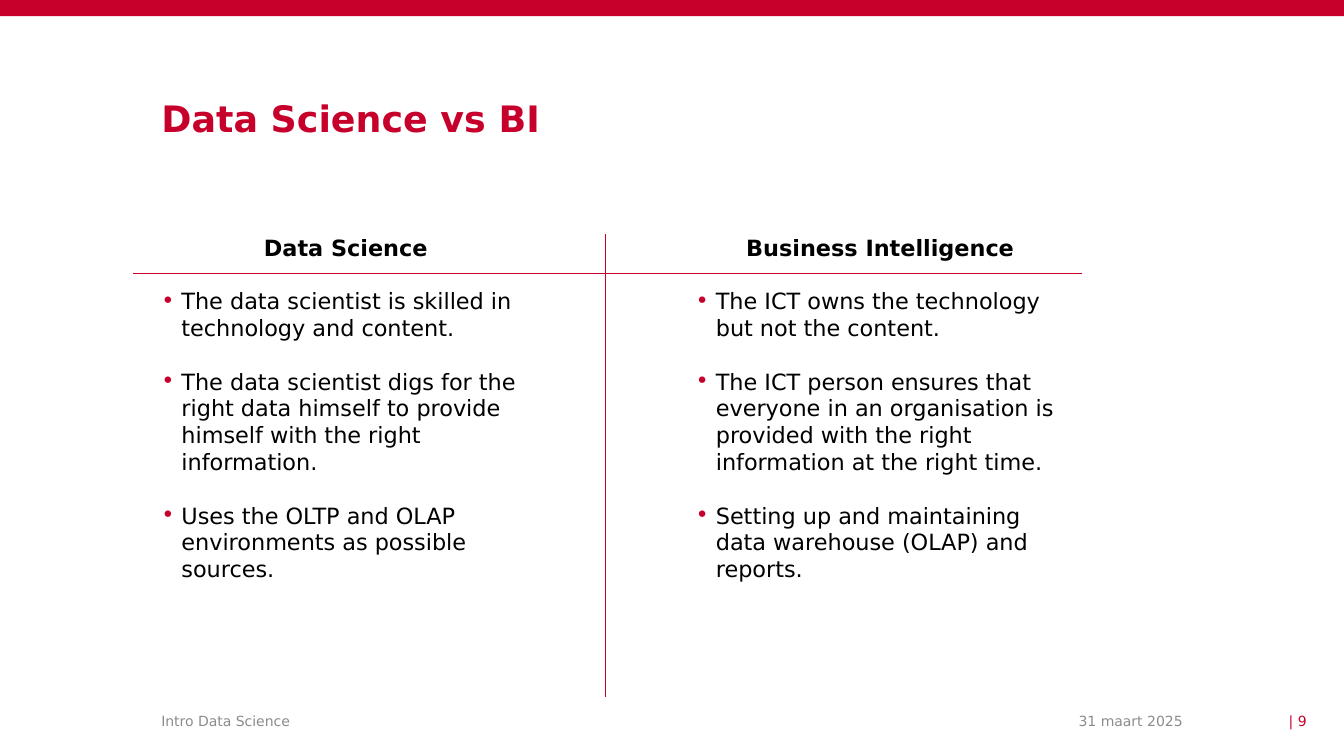
from dataclasses import dataclass

from lxml import etree
from pptx import Presentation
from pptx import util as u
from pptx.dml.color import RGBColor
from pptx.enum import shapes, text
from pptx.oxml import ns

ALIGN = text.PP_ALIGN
ANCHOR = text.MSO_ANCHOR


@dataclass(frozen=True)
class Theme:
    font: str = "DejaVu Sans"
    accent: str = "C7002B"
    ink: str = "000000"
    muted: str = "8C8C8C"
    title: float = 26
    body: float = 16
    footer: float = 10
    rule: float = 0.5
    gap: float = 19


THEME = Theme()

COLUMNS = [
    ("Data Science", [
        "The data scientist is skilled in technology and content.",
        "The data scientist digs for the right data himself to provide "
        "himself with the right information.",
        "Uses the OLTP and OLAP environments as possible sources.",
    ]),
    ("Business Intelligence", [
        "The ICT owns the technology but not the content.",
        "The ICT person ensures that everyone in an organisation is "
        "provided with the right information at the right time.",
        "Setting up and maintaining data warehouse (OLAP) and reports.",
    ]),
]


def place(shape, box):
    shape.left, shape.top, shape.width, shape.height = map(u.Inches, box)


def prepare_frame(shape, anchor=ANCHOR.TOP):
    frame = shape.text_frame
    frame.word_wrap = True
    frame.auto_size = text.MSO_AUTO_SIZE.NONE
    frame.vertical_anchor = anchor
    frame.margin_left = frame.margin_right = 0
    frame.margin_top = frame.margin_bottom = 0
    return frame


def write(para, words, size=THEME.body, color=THEME.ink, bold=False,
          align=ALIGN.LEFT, spacing=1.0, after=0, bullet=False):
    para.alignment = align
    para.line_spacing = spacing
    para.space_before = u.Pt(0)
    para.space_after = u.Pt(after)
    span = para.add_run()
    span.text = words
    font = span.font
    font.name, font.size, font.bold = THEME.font, u.Pt(size), bold
    font.color.rgb = RGBColor.from_string(color)
    set_bullet(para, bullet)


def set_bullet(para, bullet):
    props = para._p.get_or_add_pPr()
    indent = u.Inches(0.2) if bullet else 0
    props.set("marL", str(indent))
    props.set("indent", str(-indent))
    if not bullet:
        etree.SubElement(props, ns.qn("a:buNone"))
        return
    color = etree.SubElement(props, ns.qn("a:buClr"))
    etree.SubElement(color, ns.qn("a:srgbClr"), val=THEME.accent)
    etree.SubElement(props, ns.qn("a:buFont"), typeface=THEME.font)
    etree.SubElement(props, ns.qn("a:buChar"), char="•")


def add_rule(page, start, end):
    rule = page.shapes.add_connector(
        shapes.MSO_CONNECTOR.STRAIGHT, *map(u.Inches, start + end))
    rule.line.width = u.Pt(THEME.rule)
    rule.line.color.rgb = RGBColor.from_string(THEME.accent)
    etree.SubElement(rule._element.spPr, ns.qn("a:effectLst"))


def add_band(page, box):
    band = page.shapes.add_shape(
        shapes.MSO_SHAPE.RECTANGLE, *map(u.Inches, box))
    band.shadow.inherit = False
    band.fill.solid()
    band.fill.fore_color.rgb = RGBColor.from_string(THEME.accent)
    band.line.fill.background()


def fill_title(page, box):
    title = page.shapes.title
    place(title, box)
    write(prepare_frame(title).paragraphs[0], "Data Science vs BI",
          size=THEME.title, color=THEME.accent, bold=True, spacing=0.9)


def fill_column(holder, box, heading, points):
    place(holder, box)
    frame = prepare_frame(holder)
    write(frame.paragraphs[0], heading, bold=True, align=ALIGN.CENTER,
          after=THEME.gap)
    for point in points:
        write(frame.add_paragraph(), point, after=THEME.gap, bullet=True)


def fill_comparison(page, box):
    left, top, width, height = box
    column_width, pitch = 3.66, 5.3
    holders = [page.placeholders[1], page.placeholders[2]]
    for index, (holder, column) in enumerate(zip(holders, COLUMNS)):
        column_box = (left + 0.28 + index * pitch, top, column_width, 4.24)
        fill_column(holder, column_box, *column)
    # Divider between the columns and rule under the headings
    middle, under = left + 4.68, top + 0.39
    add_rule(page, (middle, top), (middle, top + height))
    add_rule(page, (left, under), (left + width, under))


def add_footer(page, box):
    left, top, width, height = box
    right = left + width
    parts = [
        ("Intro Data Science", left, 6.64, ALIGN.LEFT, THEME.muted),
        ("31 maart 2025", right - 4.23, 3, ALIGN.RIGHT, THEME.muted),
        ("| 9", right - 0.89, 0.89, ALIGN.RIGHT, THEME.accent),
    ]
    for words, x, part_width, align, color in parts:
        label = page.shapes.add_textbox(
            *map(u.Inches, (x, top, part_width, height)))
        write(prepare_frame(label, ANCHOR.MIDDLE).paragraphs[0], words,
              size=THEME.footer, color=color, align=align)


def main():
    deck = Presentation()
    deck.slide_width, deck.slide_height = u.Inches(13.33), u.Inches(7.5)
    page = deck.slides.add_slide(deck.slide_layouts.get_by_name("Two Content"))
    add_band(page, (0, 0, 13.33, 0.16))
    fill_title(page, (1.6, 1, 7.45, 0.39))
    fill_comparison(page, (1.32, 2.32, 9.41, 4.59))
    add_footer(page, (1.6, 7.03, 11.36, 0.24))
    deck.save("out.pptx")


if __name__ == "__main__":
    main()
